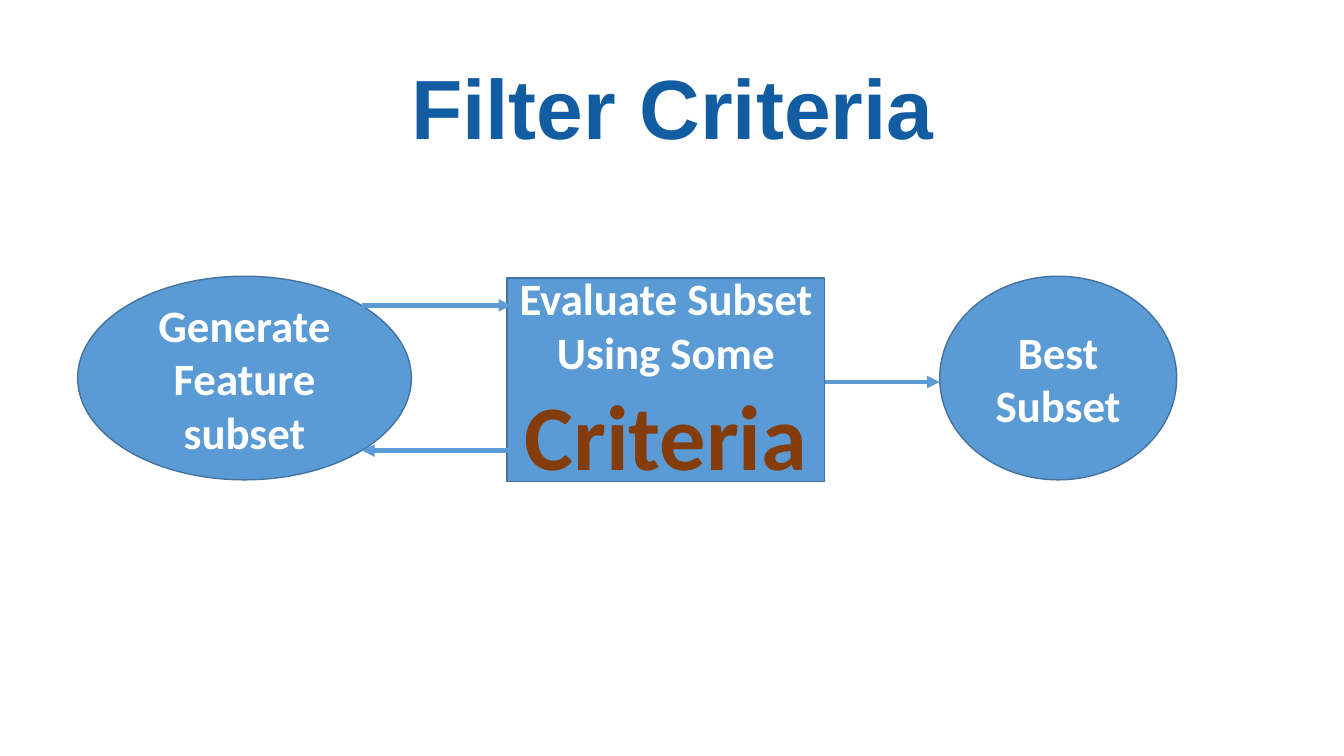
"""Build the Filter Criteria slide: a flow from feature subsets to the best one."""
import pptx
import pptx.dml.color
import pptx.enum.shapes
import pptx.enum.text
import pptx.oxml
import pptx.oxml.ns
import pptx.util

Inches = pptx.util.Inches
SHAPES = pptx.enum.shapes.MSO_SHAPE

COLORS = {"title": "125DA2", "fill": "5B9BD5", "outline": "43739E",
          "label": "FFFFFF", "accent": "843C0B"}

TITLE = "Filter Criteria"
STEP_HEIGHT = 2.02
STEPS = [
    {"kind": SHAPES.OVAL, "left": 0.77, "top": 2.74, "width": 3.31,
     "runs": [("Generate Feature subset", 32, "label")]},
    {"kind": SHAPES.RECTANGLE, "left": 5.03, "top": 2.76, "width": 3.15,
     "runs": [("Evaluate Subset Using Some ", 32, "label"), ("Criteria", 66, "accent")]},
    {"kind": SHAPES.OVAL, "left": 9.32, "top": 2.74, "width": 2.35,
     "runs": [("Best Subset", 32, "label")]},
]
ARROWS = [(3.59, 5.07, 3.03), (5.07, 3.59, 4.47), (8.18, 9.32, 3.79)]


def rgb(name):
    """Return the palette colour with this name."""
    return pptx.dml.color.RGBColor.from_string(COLORS[name])


def add_text(paragraph, text, size, color, font="Calibri"):
    """Append a bold run to a centred paragraph."""
    paragraph.alignment = pptx.enum.text.PP_ALIGN.CENTER
    run = paragraph.add_run()
    run.text = text
    run.font.name = font
    run.font.size = pptx.util.Pt(size)
    run.font.bold = True
    run.font.color.rgb = rgb(color)


def add_title(slide):
    """Place and format the title placeholder."""
    title = slide.shapes.title
    title.left, title.top = Inches(0.92), Inches(0.69)
    title.width, title.height = Inches(11.5), Inches(0.85)
    title.text_frame.vertical_anchor = pptx.enum.text.MSO_ANCHOR.MIDDLE
    paragraph = title.text_frame.paragraphs[0]
    paragraph.line_spacing = 0.9
    add_text(paragraph, TITLE, 60, "title", font="Arial")


def add_step(slide, kind, left, top, width, runs):
    """Draw one labelled step of the flow."""
    shape = slide.shapes.add_shape(
        kind, Inches(left), Inches(top), Inches(width), Inches(STEP_HEIGHT))
    shape.shadow.inherit = False
    shape.fill.solid()
    shape.fill.fore_color.rgb = rgb("fill")
    shape.line.color.rgb = rgb("outline")
    shape.line.width = pptx.util.Pt(1)
    frame = shape.text_frame
    frame.word_wrap = True
    frame.vertical_anchor = pptx.enum.text.MSO_ANCHOR.MIDDLE
    for text, size, color in runs:
        add_text(frame.paragraphs[0], text, size, color)


def add_arrow(slide, start, end, height):
    """Draw a horizontal arrow from start to end."""
    arrow = slide.shapes.add_connector(
        pptx.enum.shapes.MSO_CONNECTOR.STRAIGHT,
        Inches(start), Inches(height), Inches(end), Inches(height))
    arrow.line.color.rgb = rgb("fill")
    arrow.line.width = pptx.util.Pt(3)
    line = arrow.line._get_or_add_ln()
    pptx.oxml.parse_xml(f'<a:ln {pptx.oxml.ns.nsdecls("a")}/>')
    line.append(pptx.oxml.parse_xml(
        f'<a:tailEnd {pptx.oxml.ns.nsdecls("a")} type="triangle"/>'))
    line.addnext(pptx.oxml.parse_xml(f'<a:effectLst {pptx.oxml.ns.nsdecls("a")}/>'))


def main():
    """Assemble and save the presentation."""
    presentation = pptx.Presentation()
    presentation.slide_width, presentation.slide_height = Inches(13.33), Inches(7.5)
    slide = presentation.slides.add_slide(presentation.slide_layouts[5])
    add_title(slide)
    for step in STEPS[:2]:
        add_step(slide, **step)
    for start, end, height in ARROWS:
        add_arrow(slide, start, end, height)
    add_step(slide, **STEPS[2])
    presentation.save("out.pptx")


if __name__ == "__main__":
    main()
